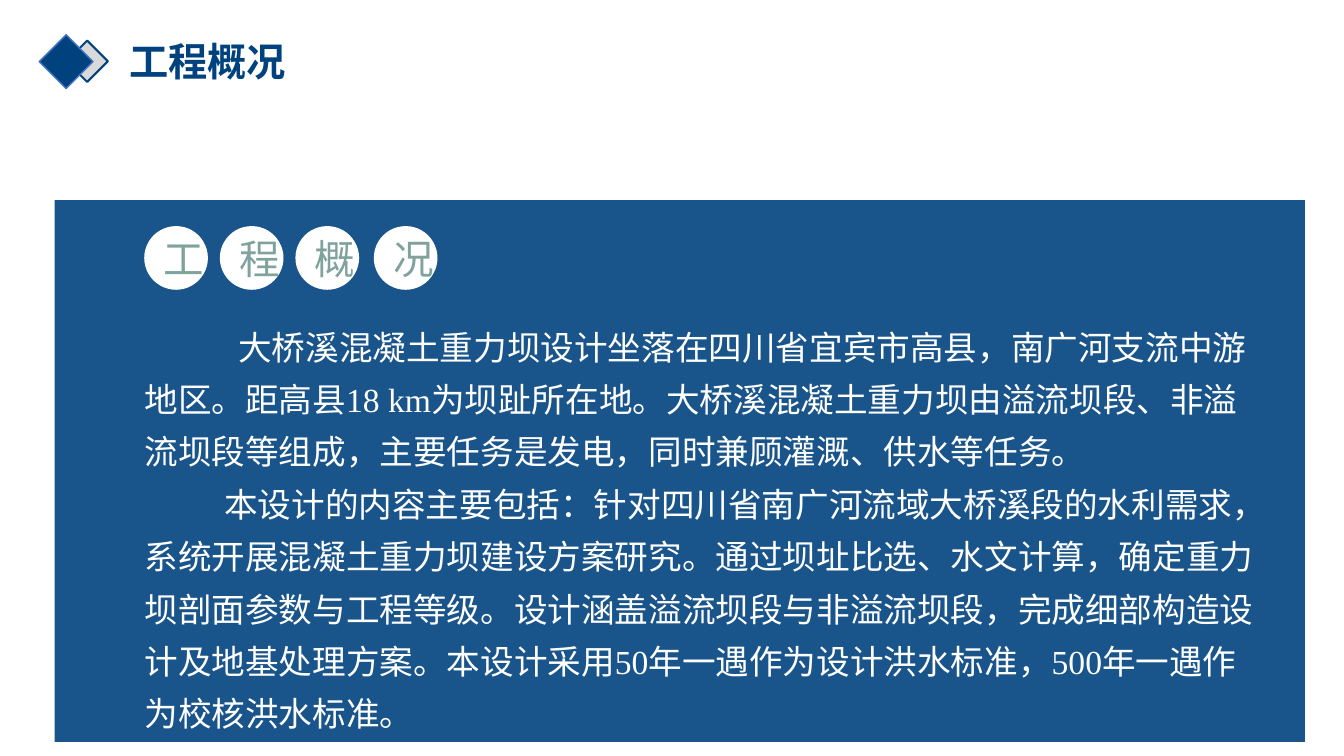
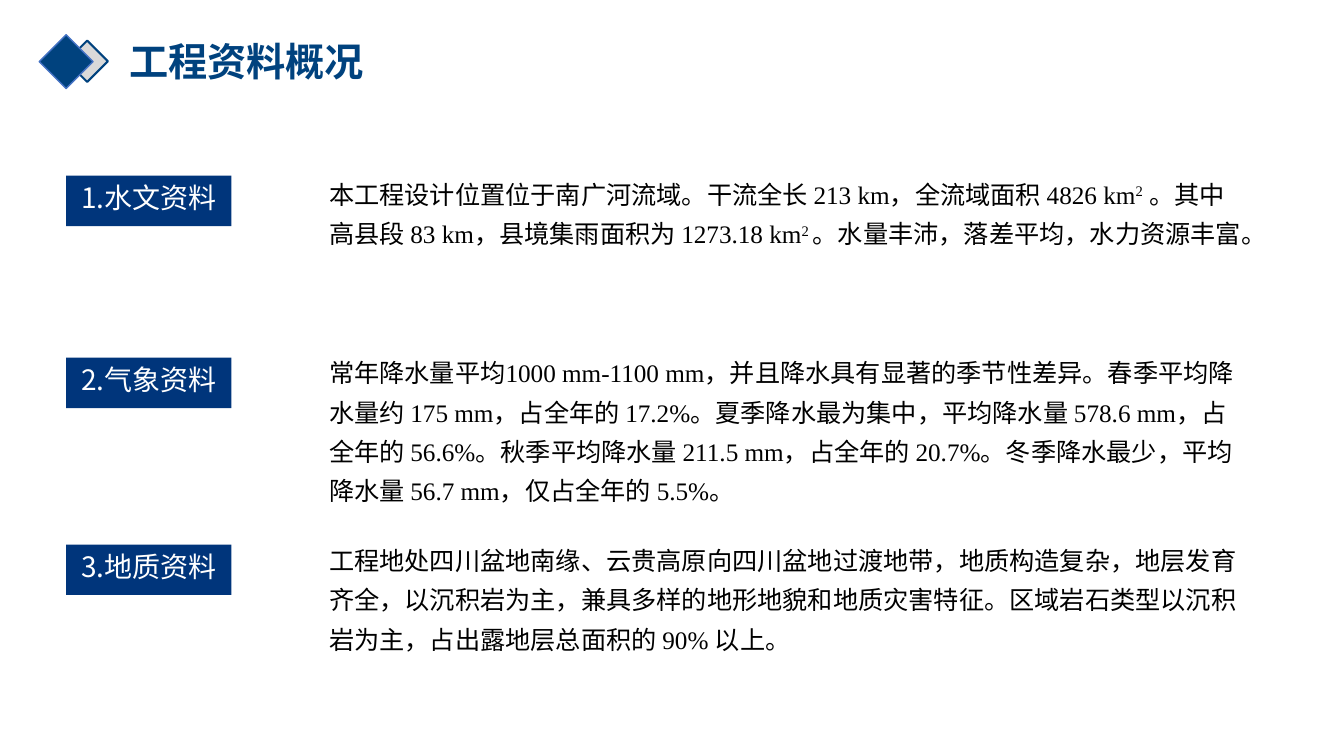
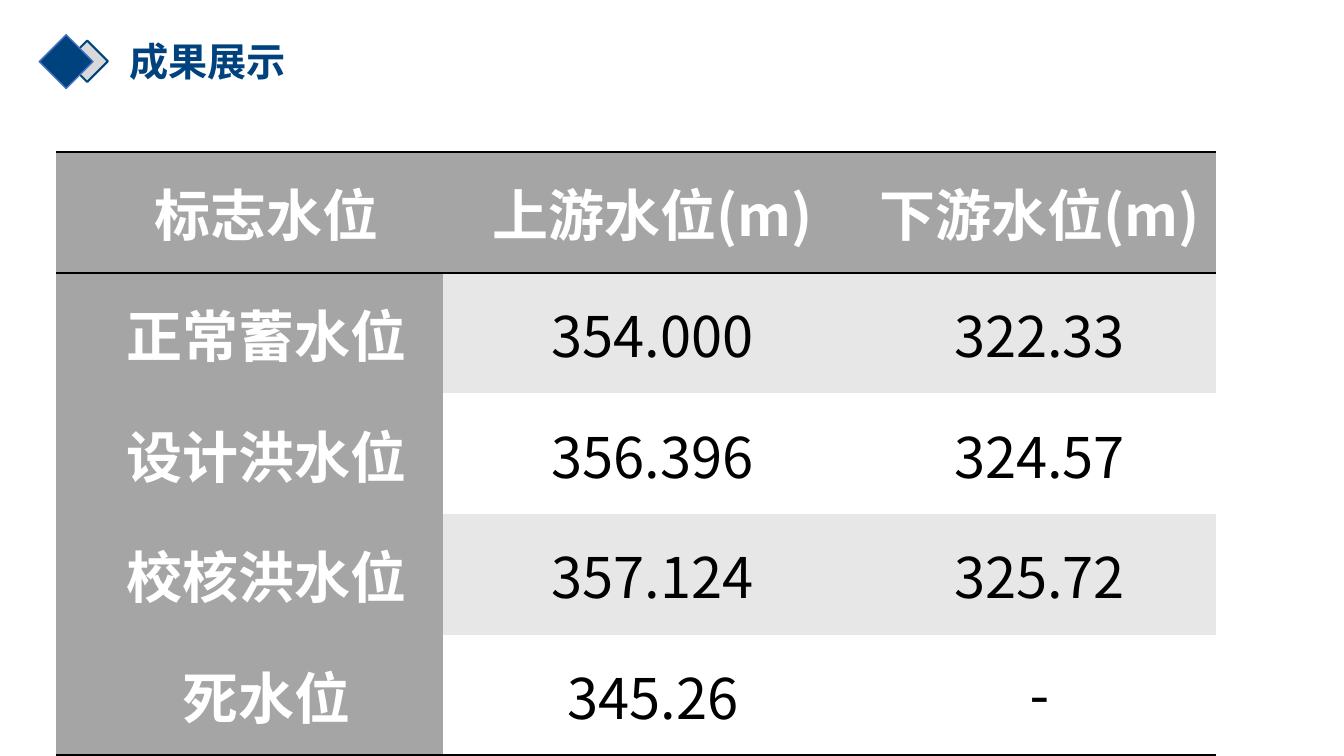
from dataclasses import dataclass

from lxml.etree import SubElement
from pptx import Presentation
from pptx.dml.color import RGBColor
from pptx.enum.shapes import MSO_SHAPE
from pptx.enum.text import MSO_ANCHOR, MSO_AUTO_SIZE, PP_ALIGN
from pptx.oxml.ns import qn
from pptx.util import Pt

SANS = "Noto Sans CJK SC"
SERIF = "Times New Roman"
NAVY = "00427E"
LABEL_BLUE = "00357B"
WHITE = "FFFFFF"
BLACK = "000000"
GREY = "A5A5A5"
STRIPE = "E7E7E7"
SAGE = "7FA29C"
NO_TABLE_STYLE = "{2D5ABB26-0587-4C30-8999-92F81FD0307C}"
TITLE_ONLY, TITLE_AND_BODY = 5, 1


@dataclass(frozen=True)
class Frame:
    left: float
    top: float
    width: float
    height: float

    def lengths(self) -> tuple:
        return Pt(self.left), Pt(self.top), Pt(self.width), Pt(self.height)


@dataclass(frozen=True)
class TextStyle:
    size: float
    color: str
    font: str = SANS
    bold: bool = False
    align: PP_ALIGN = PP_ALIGN.LEFT
    spacing: float = 1.0
    indent: float = 0


@dataclass(frozen=True)
class Span:
    text: str
    raised: bool = False


@dataclass(frozen=True)
class Topic:
    label: str
    label_top: float
    text_top: float
    text_height: float
    spans: tuple


TITLE_STYLE = TextStyle(28, NAVY, bold=True, spacing=0.9)
DISC_STYLE = TextStyle(29, SAGE, align=PP_ALIGN.CENTER)
LABEL_STYLE = TextStyle(20, WHITE, align=PP_ALIGN.CENTER)
TOPIC_STYLE = TextStyle(18, BLACK, SERIF, spacing=1.3)

OVERVIEW = (
    (67, "大桥溪混凝土重力坝设计坐落在四川省宜宾市高县，南广河支流中游地区。距高县18 km为坝趾所在地。"
         "大桥溪混凝土重力坝由溢流坝段、非溢流坝段等组成，主要任务是发电，同时兼顾灌溉、供水等任务。"),
    (57, "本设计的内容主要包括：针对四川省南广河流域大桥溪段的水利需求，系统开展混凝土重力坝建设方案研究。"
         "通过坝址比选、水文计算，确定重力坝剖面参数与工程等级。设计涵盖溢流坝段与非溢流坝段，"
         "完成细部构造设计及地基处理方案。本设计采用50年一遇作为设计洪水标准，500年一遇作为校核洪水标准。"),
)

TOPICS = (
    Topic("1.水文资料", 125.5, 118, 61, (
        Span("本工程设计位置位于南广河流域。干流全长 213 km，全流域面积 4826 km"),
        Span("2", raised=True),
        Span(" 。其中高县段 83 km，县境集雨面积为 1273.18 km"),
        Span("2 ", raised=True),
        Span("。水量丰沛，落差平均，水力资源丰富。"))),
    Topic("2.气象资料", 255.5, 245.5, 117, (
        Span("常年降水量平均1000 mm-1100 mm，并且降水具有显著的季节性差异。春季平均降水量约 175 mm，"
             "占全年的 17.2%。夏季降水最为集中，平均降水量 578.6 mm，占全年的 56.6%。"
             "秋季平均降水量 211.5 mm，占全年的 20.7%。冬季降水最少，平均降水量 56.7 mm，仅占全年的 5.5%。"),)),
    Topic("3.地质资料", 389, 379.5, 89, (
        Span("工程地处四川盆地南缘、云贵高原向四川盆地过渡地带，地质构造复杂，地层发育齐全，以沉积岩为主，"
             "兼具多样的地形地貌和地质灾害特征。区域岩石类型以沉积岩为主，占出露地层总面积的 90% 以上。"),)),
)

WATER_LEVELS = (
    ("标志水位", "上游水位(m)", "下游水位(m)"),
    ("正常蓄水位", "354.000", "322.33"),
    ("设计洪水位", "356.396", "324.57"),
    ("校核洪水位", "357.124", "325.72"),
    ("死水位", "345.26", "-"),
)
SERIF_CELLS = ("死水位", "-")


def rgb(value: str) -> RGBColor:
    return RGBColor.from_string(value)


def format_paragraph(para, style: TextStyle) -> None:
    para.alignment = style.align
    para.line_spacing = style.spacing
    para.space_before = Pt(0)
    font = para.font
    font.size, font.bold, font.name = Pt(style.size), style.bold, style.font
    font.color.rgb = rgb(style.color)
    properties = para._p.get_or_add_pPr()
    properties.set("marL", "0")
    properties.set("indent", str(Pt(style.indent)))
    properties.insert_element_before(
        properties.makeelement(qn("a:buNone"), {}), "a:tabLst", "a:defRPr", "a:extLst")
    SubElement(properties.find(qn("a:defRPr")), qn("a:ea"), typeface=SANS)


def write(para, style: TextStyle, *spans: Span) -> None:
    for span in spans:
        run = para.add_run()
        run.text = span.text
        if span.raised:
            run.font._element.set("baseline", "30000")
    format_paragraph(para, style)


def place(box, frame: Frame) -> None:
    box.left, box.top, box.width, box.height = frame.lengths()


def add_solid(shapes, kind: MSO_SHAPE, frame: Frame, color: str):
    """Add a flat filled shape without outline or shadow."""
    shape = shapes.add_shape(kind, *frame.lengths())
    shape.shadow.inherit = False
    shape.fill.solid()
    shape.fill.fore_color.rgb = rgb(color)
    shape.line.fill.background()
    return shape


def add_page(deck, layout: int, title: str):
    """Add a slide with the shared diamond mark and title."""
    page = deck.slides.add_slide(deck.slide_layouts[layout])
    mark = page.shapes.add_group_shape()
    for frame, color, edge, weight in (
        (Frame(47.5, 29, 29.5, 29.5), "D9D9D9", NAVY, 1.5),
        (Frame(28, 24.8, 38.5, 38.5), NAVY, "4472C4", 1),
    ):
        diamond = add_solid(mark.shapes, MSO_SHAPE.DIAMOND, frame, color)
        diamond.line.color.rgb = rgb(edge)
        diamond.line.width = Pt(weight)
    heading = page.shapes.title
    place(heading, Frame(85, 28, 448, 34.5))
    text = heading.text_frame
    text.auto_size = MSO_AUTO_SIZE.NONE
    text.vertical_anchor = MSO_ANCHOR.MIDDLE
    write(text.paragraphs[0], TITLE_STYLE, Span(title))
    return page


def build_overview(deck) -> None:
    page = add_page(deck, TITLE_AND_BODY, "工程概况")
    panel = add_solid(page.shapes, MSO_SHAPE.RECTANGLE, Frame(39, 143, 893, 387), NAVY)
    color = panel.fill._xPr.find(qn("a:solidFill"))[0]
    SubElement(color, qn("a:alpha"), val="90000")
    page.shapes._spTree.insert(2, panel._element)  # behind the body text

    for left, character in zip((103, 157, 211, 267), "工程概况"):
        disc = add_solid(page.shapes, MSO_SHAPE.OVAL, Frame(left, 161.5, 45.5, 45.5), WHITE)
        disc.text_frame.vertical_anchor = MSO_ANCHOR.MIDDLE
        write(disc.text_frame.paragraphs[0], DISC_STYLE, Span(character))

    body = page.placeholders[1]
    place(body, Frame(96, 221, 816.5, 304.5))
    text = body.text_frame
    text.auto_size = MSO_AUTO_SIZE.NONE
    for index, (indent, words) in enumerate(OVERVIEW):
        para = text.add_paragraph() if index else text.paragraphs[0]
        write(para, TextStyle(24, WHITE, SERIF, spacing=1.3, indent=indent), Span(words))


def build_topics(deck) -> None:
    page = add_page(deck, TITLE_ONLY, "工程资料概况")
    for topic in TOPICS:
        label = add_solid(page.shapes, MSO_SHAPE.RECTANGLE,
                          Frame(47.3, topic.label_top, 118, 36), LABEL_BLUE)
        label.text_frame.vertical_anchor = MSO_ANCHOR.TOP
        write(label.text_frame.paragraphs[0], LABEL_STYLE, Span(topic.label))
        frame = Frame(228, topic.text_top, 669, topic.text_height)
        text = page.shapes.add_textbox(*frame.lengths()).text_frame
        text.word_wrap = True
        write(text.paragraphs[0], TOPIC_STYLE, *topic.spans)


def rule_cell(cell, *edges: str) -> None:
    """Draw black 2 pt borders on the named edges, given in schema order."""
    properties = cell._tc.get_or_add_tcPr()
    for position, edge in enumerate(edges):
        line = properties.makeelement(qn(f"a:{edge}"), {"w": str(Pt(2))})
        fill = SubElement(line, qn("a:solidFill"))
        SubElement(fill, qn("a:srgbClr"), val=BLACK)
        properties.insert(position, line)


def build_levels(deck) -> None:
    page = add_page(deck, TITLE_ONLY, "成果展示")
    rows, columns = len(WATER_LEVELS), len(WATER_LEVELS[0])
    frame = Frame(40, 108.7, 828.6, 431)
    table = page.shapes.add_table(rows, columns, *frame.lengths()).table
    table._tbl.tblPr.find(qn("a:tableStyleId")).text = NO_TABLE_STYLE
    for row, values in enumerate(WATER_LEVELS):
        for column, value in enumerate(values):
            cell = table.cell(row, column)
            heading = row == 0 or column == 0
            cell.fill.solid()
            cell.fill.fore_color.rgb = rgb(GREY if heading else STRIPE if row % 2 else WHITE)
            cell.vertical_anchor = MSO_ANCHOR.MIDDLE
            cell.margin_left = cell.margin_right = Pt(5)
            cell.margin_top = cell.margin_bottom = Pt(0)
            style = TextStyle(40, WHITE if heading else BLACK,
                              SERIF if value in SERIF_CELLS else SANS,
                              bold=heading, align=PP_ALIGN.CENTER, indent=24)
            write(cell.text_frame.paragraphs[0], style, Span(value))
            if row == 0:
                rule_cell(cell, "lnT", "lnB")
            elif row == rows - 1:
                rule_cell(cell, "lnB")


def main() -> None:
    deck = Presentation()
    deck.slide_width, deck.slide_height = Pt(960), Pt(540)
    build_overview(deck)
    build_topics(deck)
    build_levels(deck)
    deck.save("out.pptx")


if __name__ == "__main__":
    main()
